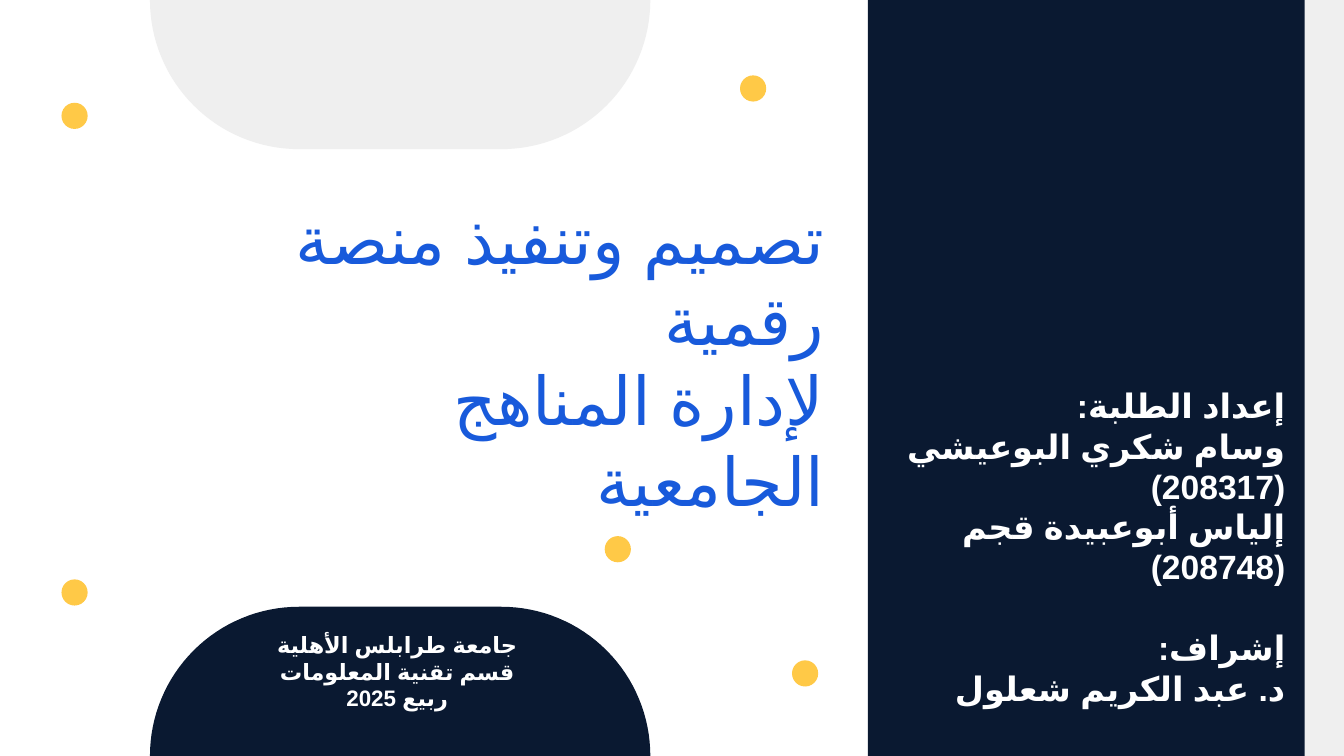
"""Builds the title slide of a university graduation project."""
from dataclasses import dataclass
from math import cos, pi, sin

from lxml.etree import SubElement as Sub
from pptx import Presentation
from pptx.dml.color import RGBColor as Rgb
from pptx.enum.shapes import MSO_SHAPE as Kind
from pptx.enum.text import MSO_AUTO_SIZE as Fit, PP_ALIGN as Align
from pptx.oxml.ns import qn
from pptx.shapes.autoshape import Shape
from pptx.slide import Slide
from pptx.util import Cm, Pt


@dataclass(frozen=True)
class Theme:
    navy: str = "0A1931"
    grey: str = "EFEFEF"
    gold: str = "FFC947"
    blue: str = "185ADB"
    white: str = "FFFFFF"
    font: str = "Calibri"
    script: str = "Arial"
    lang: str = "ar-SA"
    head: int = 48
    body: int = 24
    small: int = 16


@dataclass(frozen=True)
class Box:
    left: float
    top: float
    width: float
    height: float


@dataclass(frozen=True)
class Line:
    text: str
    gap: int = 0


@dataclass(frozen=True)
class Block:
    box: Box
    lines: tuple[Line, ...]
    size: int
    color: str
    align: Align = Align.RIGHT
    bold: bool = True


THEME = Theme()
WIDE, HIGH = 33.87, 19.05
PANEL = Box(21.87, 0, 11.45, HIGH)
STRIP = Box(32.88, 0, 0.99, HIGH)
DOME_LEFT, DOME_WIDE, RADIUS = 3.78, 12.61, 3.76
STEPS = 32
DOT = 0.66
DOTS = ((1.88, 2.92), (20.29, 16.97), (18.98, 2.23), (15.57, 13.84), (1.88, 14.93))

TITLE = Block(
    Box(5.56, 4.85, 15.47, 4.37),
    (Line("تصميم وتنفيذ منصة رقمية"), Line("لإدارة المناهج الجامعية")),
    THEME.head, THEME.blue, bold=False,
)
CAMPUS = Block(
    Box(3.05, 15.77, 13.92, 2.39),
    (Line("جامعة طرابلس الأهلية"), Line("قسم تقنية المعلومات"), Line("ربيع 2025")),
    THEME.small, THEME.white, Align.CENTER,
)
TEAM = Block(
    Box(22, 9.58, 10.64, 6.4),
    (
        Line("إعداد الطلبة:"),
        Line("وسام شكري البوعيشي (208317)"),
        Line("إلياس أبوعبيدة قجم (208748)"),
        Line("إشراف:", 29),
        Line("د. عبد الكريم شعلول"),
    ),
    THEME.body, THEME.white,
)


def paint(shape: Shape, color: str) -> None:
    shape.shadow.inherit = False
    shape.fill.solid()
    shape.fill.fore_color.rgb = Rgb.from_string(color)
    shape.line.fill.background()


def draw(slide: Slide, kind: Kind, box: Box, color: str) -> None:
    shape = slide.shapes.add_shape(
        kind, Cm(box.left), Cm(box.top), Cm(box.width), Cm(box.height))
    paint(shape, color)


def dome(slide: Slide, base: float, way: int, color: str) -> None:
    turns = [pi / 2 * step / STEPS for step in range(STEPS + 1)]
    rise = [(RADIUS * (1 - cos(turn)), RADIUS * sin(turn)) for turn in turns]
    curve = rise + [(DOME_WIDE - x, y) for x, y in reversed(rise)]
    first, *rest = [(Cm(DOME_LEFT + x), Cm(base + way * y)) for x, y in curve]
    form = slide.shapes.build_freeform(*first)
    form.add_line_segments(rest, close=True)
    paint(form.convert_to_shape(), color)


def write(slide: Slide, block: Block) -> None:
    box = block.box
    frame = slide.shapes.add_textbox(
        Cm(box.left), Cm(box.top), Cm(box.width), Cm(box.height)).text_frame
    frame.word_wrap = True
    frame.auto_size = Fit.SHAPE_TO_FIT_TEXT
    for rank, line in enumerate(block.lines):
        para = frame.add_paragraph() if rank else frame.paragraphs[0]
        para.alignment = block.align
        para.space_before = Pt(line.gap)
        para._p.get_or_add_pPr().set("rtl", "1")
        run = para.add_run()
        run.text = line.text
        run.font.name = THEME.font
        run.font.size = Pt(block.size)
        run.font.bold = block.bold
        run.font.color.rgb = Rgb.from_string(block.color)
        props = run._r.get_or_add_rPr()
        props.set("lang", THEME.lang)
        Sub(props, qn("a:cs")).set("typeface", THEME.script)


def main() -> None:
    deck = Presentation()
    deck.slide_width, deck.slide_height = Cm(WIDE), Cm(HIGH)
    slide = deck.slides.add_slide(deck.slide_layouts[6])
    draw(slide, Kind.RECTANGLE, PANEL, THEME.navy)
    dome(slide, HIGH, -1, THEME.navy)
    dome(slide, 0, 1, THEME.grey)
    for x, y in DOTS:
        draw(slide, Kind.OVAL, Box(x - DOT / 2, y - DOT / 2, DOT, DOT), THEME.gold)
    write(slide, TITLE)
    write(slide, CAMPUS)
    draw(slide, Kind.RECTANGLE, STRIP, THEME.grey)
    write(slide, TEAM)
    deck.save("out.pptx")


if __name__ == "__main__":
    main()
